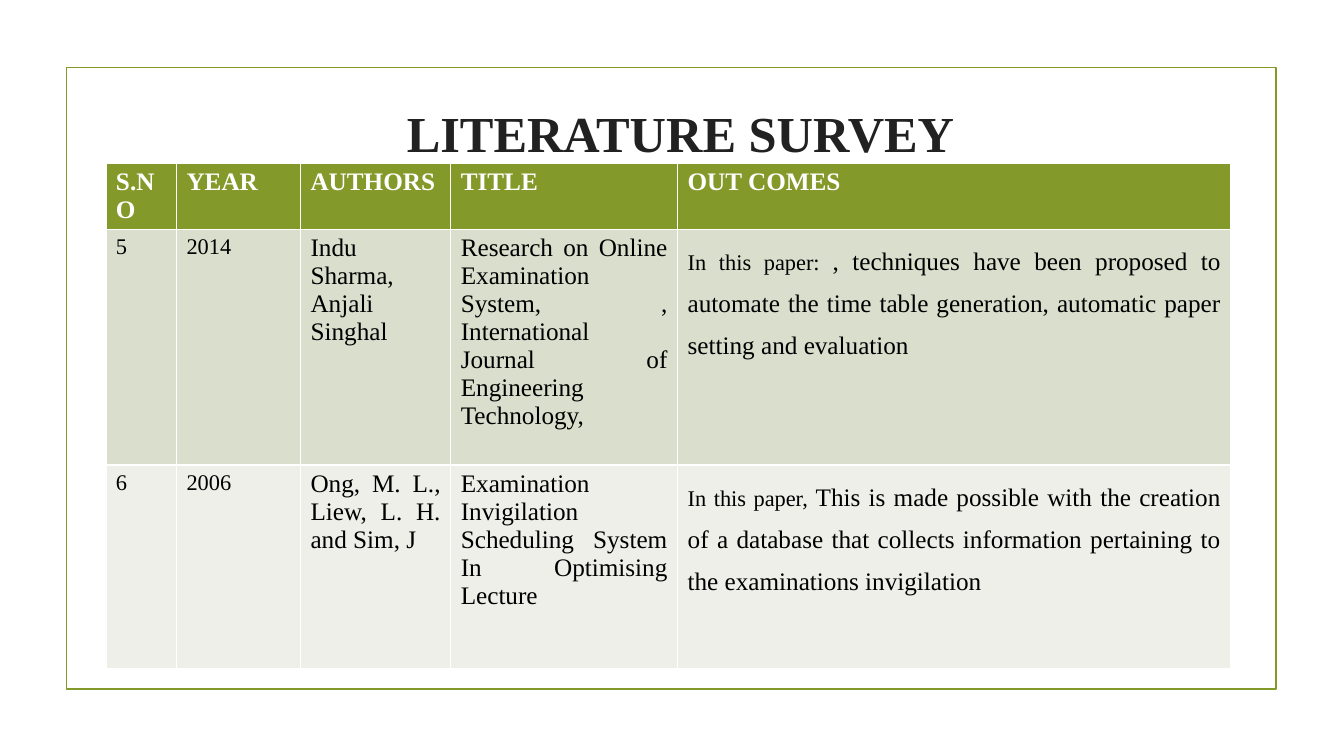
from dataclasses import dataclass

from pptx import Presentation
from pptx.dml.color import RGBColor
from pptx.enum.shapes import MSO_SHAPE
from pptx.enum.text import MSO_ANCHOR, MSO_AUTO_SIZE, PP_ALIGN
from pptx.util import Inches, Pt

WIDTH, HEIGHT = Inches(13.33), Inches(7.5)
FACE = "Times New Roman"
GREEN = RGBColor(0x83, 0x99, 0x2A)
SAGE = RGBColor(0xD9, 0xDE, 0xCD)
MIST = RGBColor(0xED, 0xEF, 0xE8)
WHITE = RGBColor(0xFF, 0xFF, 0xFF)
BLACK = RGBColor(0, 0, 0)
INK = RGBColor(0x21, 0x21, 0x21)


@dataclass(frozen=True)
class Box:
    """A place on the slide, in percent of its width and height."""
    left: float
    top: float
    width: float
    height: float

    def place(self) -> tuple[int, int, int, int]:
        return across(self.left), down(self.top), across(self.width), down(self.height)


@dataclass(frozen=True)
class Piece:
    text: str
    size: int = 18


@dataclass(frozen=True)
class Paper:
    number: str
    year: str
    authors: str
    title: str
    intro: str
    outcome: str
    fill: RGBColor

    def cells(self) -> list[list[Piece]]:
        return [
            [Piece(self.number, 16)],
            [Piece(self.year, 16)],
            [Piece(self.authors)],
            [Piece(self.title)],
            [Piece(self.intro, 16), Piece(self.outcome)],
        ]


FRAME = Box(4.95, 8.93, 90.02, 82.27)
TITLE = Box(11.63, 6.27, 70.52, 13.6)
GRID = Box(7.88, 21.6, 83.72, 66.26)
COLS = (5.25, 9.23, 11.18, 16.88, 41.18)
ROWS = (8.13, 31.2, 26.93)
HEADS = ("S.NO", "YEAR", "AUTHORS", "TITLE", "OUT COMES")
PAPERS = (
    Paper("5", "2014", "Indu Sharma, Anjali Singhal",
          "Research on Online Examination System, , International Journal of "
          "Engineering Technology,",
          "In this paper: ",
          ", techniques have been proposed to automate the time table generation, "
          "automatic paper setting and evaluation", SAGE),
    Paper("6", "2006", "Ong, M. L., Liew, L. H. and Sim, J",
          "Examination Invigilation Scheduling System In Optimising Lecture",
          "In this paper, ",
          "This is made possible with the creation of a database that collects "
          "information pertaining to the examinations invigilation", MIST),
)


def across(share: float) -> int:
    return round(WIDTH * share / 100)


def down(share: float) -> int:
    return round(HEIGHT * share / 100)


def write(para, pieces: list[Piece], color: RGBColor, bold: bool) -> None:
    """Fill a paragraph, with the font on it and on its runs for all viewers."""
    for piece in pieces:
        run = para.add_run()
        run.text = piece.text
        run.font.size = Pt(piece.size)
    for font in (para.font, *(run.font for run in para.runs)):
        font.name = FACE
        font.bold = bold
        font.color.rgb = color


def paint(cell, fill: RGBColor) -> None:
    cell.fill.solid()
    cell.fill.fore_color.rgb = fill


def add_frame(slide) -> None:
    frame = slide.shapes.add_shape(MSO_SHAPE.RECTANGLE, *FRAME.place())
    frame.shadow.inherit = False
    frame.fill.background()
    frame.line.color.rgb = GREEN
    frame.line.width = Pt(1.25)


def set_title(slide) -> None:
    title = slide.shapes.title
    title.left, title.top, title.width, title.height = TITLE.place()
    text = title.text_frame
    text.auto_size = MSO_AUTO_SIZE.NONE
    text.word_wrap = True
    text.vertical_anchor = MSO_ANCHOR.TOP
    text.margin_left, text.margin_top = Inches(1.1), Inches(0.12)
    para = text.paragraphs[0]
    para.alignment = PP_ALIGN.CENTER
    para.line_spacing = 1.7
    write(para, [Piece("LITERATURE SURVEY", 36)], INK, True)


def add_survey(slide) -> None:
    table = slide.shapes.add_table(len(ROWS), len(COLS), *GRID.place()).table
    table.horz_banding = False
    for col, share in zip(table.columns, COLS):
        col.width = across(share)
    for row, share in zip(table.rows, ROWS):
        row.height = down(share)
    for cell, head in zip(table.rows[0].cells, HEADS):
        paint(cell, GREEN)
        write(cell.text_frame.paragraphs[0], [Piece(head)], WHITE, True)
    for at, paper in enumerate(PAPERS, 1):
        for cell, pieces in zip(table.rows[at].cells, paper.cells()):
            paint(cell, paper.fill)
            para = cell.text_frame.paragraphs[0]
            para.alignment = PP_ALIGN.JUSTIFY
            write(para, pieces, BLACK, False)
        para.line_spacing = 1.5


def main() -> None:
    deck = Presentation()
    deck.slide_width, deck.slide_height = WIDTH, HEIGHT
    slide = deck.slides.add_slide(deck.slide_layouts.get_by_name("Title Only"))
    add_frame(slide)
    add_survey(slide)
    set_title(slide)
    deck.save("out.pptx")


if __name__ == "__main__":
    main()
